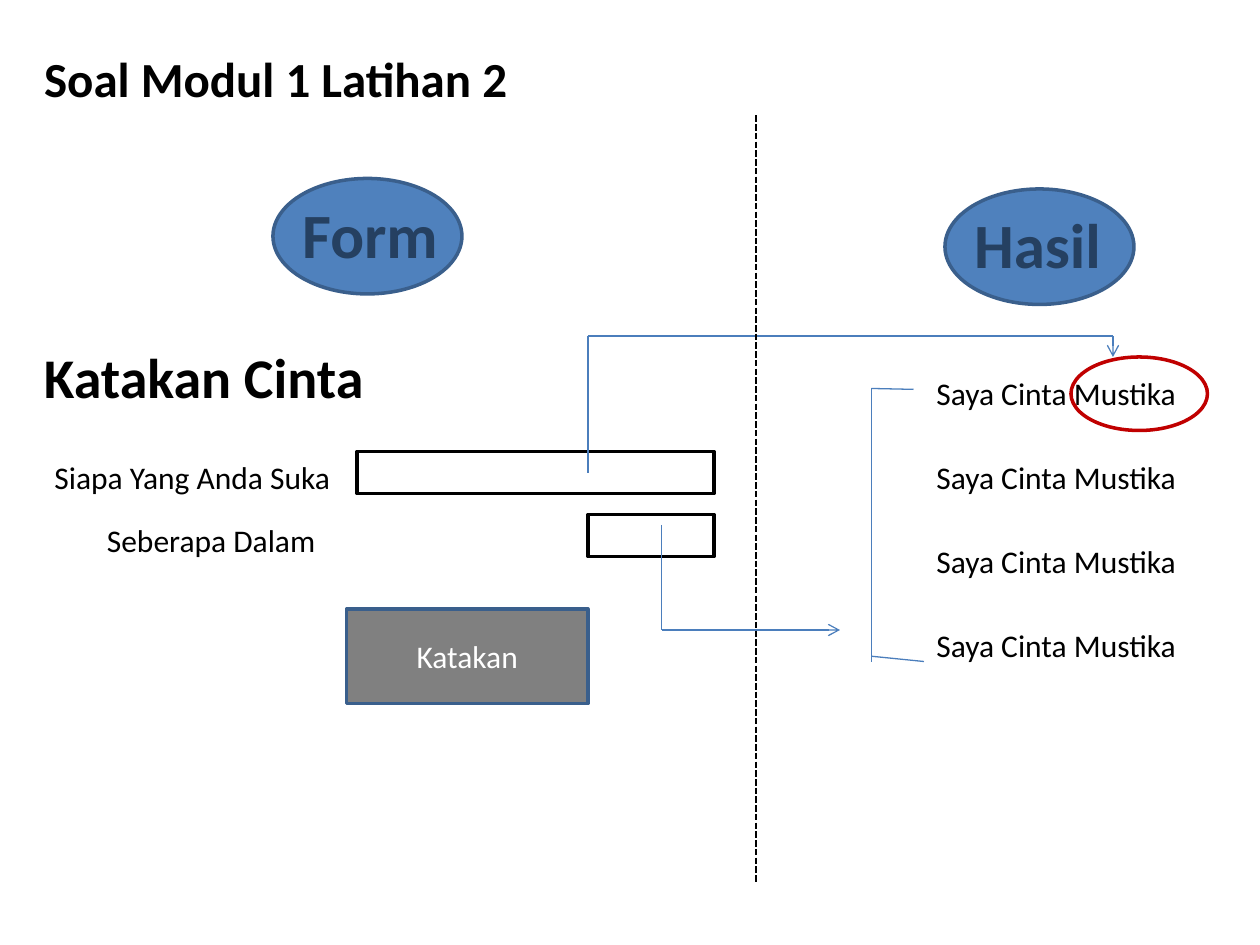
from lxml import etree
from pptx import Presentation
from pptx.dml.color import RGBColor
from pptx.enum.dml import MSO_LINE_DASH_STYLE as DASH
from pptx.enum.shapes import MSO_CONNECTOR as CONNECTOR, MSO_SHAPE as SHAPE
from pptx.enum.text import MSO_ANCHOR as ANCHOR, MSO_AUTO_SIZE as AUTO_SIZE, PP_ALIGN as ALIGN
from pptx.oxml.ns import qn
from pptx.util import Pt

FONT = "Calibri"
COLORS = {
    "black": "000000",
    "white": "FFFFFF",
    "gray": "808080",
    "blue": "4F81BD",
    "border": "3A5F8C",
    "arrow": "4B7EBC",
    "navy": "254061",
    "red": "C00000",
}


def color(name):
    return RGBColor.from_string(COLORS[name])


def place(item, left, top, width, height):
    item.left, item.top = Pt(left), Pt(top)
    item.width, item.height = Pt(width), Pt(height)


def write(frame, text, size=18, ink="black", bold=False, align=ALIGN.LEFT,
          anchor=ANCHOR.TOP, wrap=False):
    frame.auto_size = AUTO_SIZE.NONE
    frame.word_wrap = wrap
    frame.vertical_anchor = anchor
    para = frame.paragraphs[0]
    para.alignment = align
    span = para.add_run()
    span.text = text
    span.font.name = FONT
    span.font.size = Pt(size)
    span.font.bold = bold
    span.font.color.rgb = color(ink)


def add_title(page, text, bounds, **style):
    title = page.shapes.title
    place(title, *bounds)
    write(title.text_frame, text, **style)


def add_label(page, text, bounds, **style):
    box = page.shapes.add_textbox(*map(Pt, bounds))
    write(box.text_frame, text, **style)


def add_figure(page, kind, bounds, fill=None, line="border"):
    shape = page.shapes.add_shape(kind, *map(Pt, bounds))
    shape.shadow.inherit = False
    if fill:
        shape.fill.solid()
        shape.fill.fore_color.rgb = color(fill)
    else:
        shape.fill.background()
    shape.line.color.rgb = color(line)
    shape.line.width = Pt(2)
    return shape


def add_line(page, start, end, ink="arrow", width=0.75, dash=None, arrow=False):
    line = page.shapes.add_connector(CONNECTOR.STRAIGHT, *map(Pt, start + end))
    line.line.color.rgb = color(ink)
    line.line.width = Pt(width)
    if dash:
        line.line.dash_style = dash
    if arrow:
        etree.SubElement(line.line._get_or_add_ln(), qn("a:tailEnd"), type="arrow")
    etree.SubElement(line._element.spPr, qn("a:effectLst"))


def add_path(page, points, arrow=False):
    last = len(points) - 2
    for index, (start, end) in enumerate(zip(points, points[1:])):
        add_line(page, start, end, arrow=arrow and index == last)


def add_form(page):
    add_label(page, "Katakan Cinta", (18, 192, 199, 46), size=32, bold=True)
    add_label(page, "Siapa Yang Anda Suka", (24, 258, 174, 29))
    add_label(page, "Seberapa Dalam", (54, 294, 135, 29))
    for bounds in ((204, 258, 204, 24), (336, 294, 72, 24)):
        add_figure(page, SHAPE.RECTANGLE, bounds, "white", "black")
    button = add_figure(page, SHAPE.RECTANGLE, (198, 348, 138, 54), "gray")
    write(button.text_frame, "Katakan", ink="white", align=ALIGN.CENTER,
          anchor=ANCHOR.MIDDLE, wrap=True)


def add_results(page):
    for row in range(4):
        add_label(page, "Saya Cinta Mustika", (528, 210 + 48 * row, 153, 29))
    add_path(page, [(336, 270), (336, 192), (636, 192), (636, 204)], arrow=True)
    add_path(page, [(378, 300), (378, 360), (480, 360)], arrow=True)
    add_path(page, [(522, 222.5), (498, 222), (498, 378)])
    add_line(page, (498, 375), (528, 378))
    add_figure(page, SHAPE.OVAL, (612, 204, 78, 42), line="red")


def add_heading(page, text, left, top, label_left, label_width, wrap):
    add_figure(page, SHAPE.OVAL, (left, top, 108, 66), "blue")
    add_label(page, text, (label_left, top + 6, label_width, 51),
              size=36, ink="navy", bold=True, wrap=wrap)


def main():
    deck = Presentation()
    deck.slide_width, deck.slide_height = Pt(720), Pt(540)
    page = deck.slides.add_slide(deck.slide_layouts[5])
    add_title(page, "Soal Modul 1 Latihan 2", (18, 24, 282, 41), size=28, bold=True)
    add_form(page)
    add_results(page)
    add_heading(page, "Form", 156, 102, 165.6, 93, wrap=False)
    add_heading(page, "Hasil", 540, 108, 549.6, 108, wrap=True)
    add_line(page, (432, 66), (432, 504), "black", 1.25, DASH.SQUARE_DOT)
    deck.save("out.pptx")


main()
